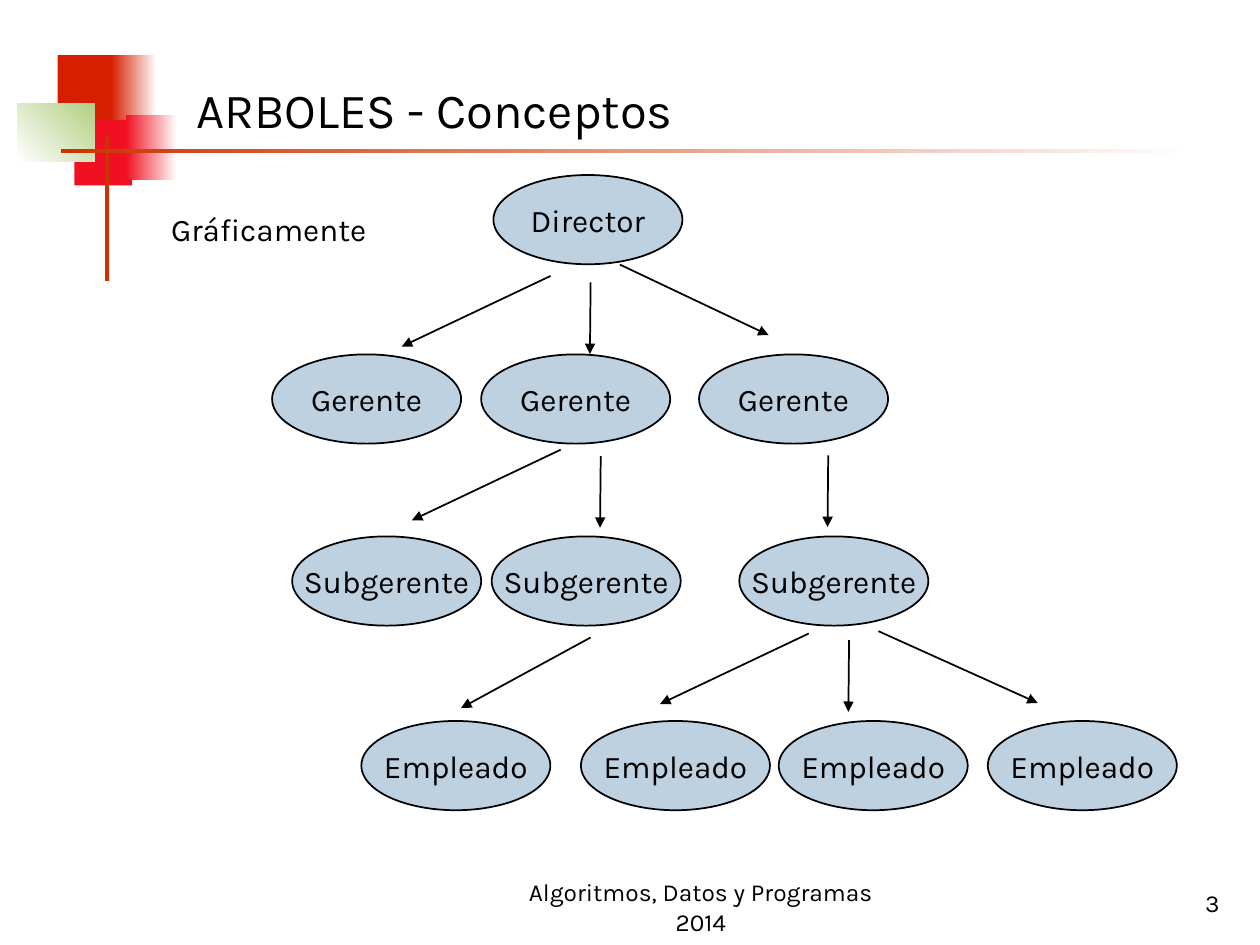
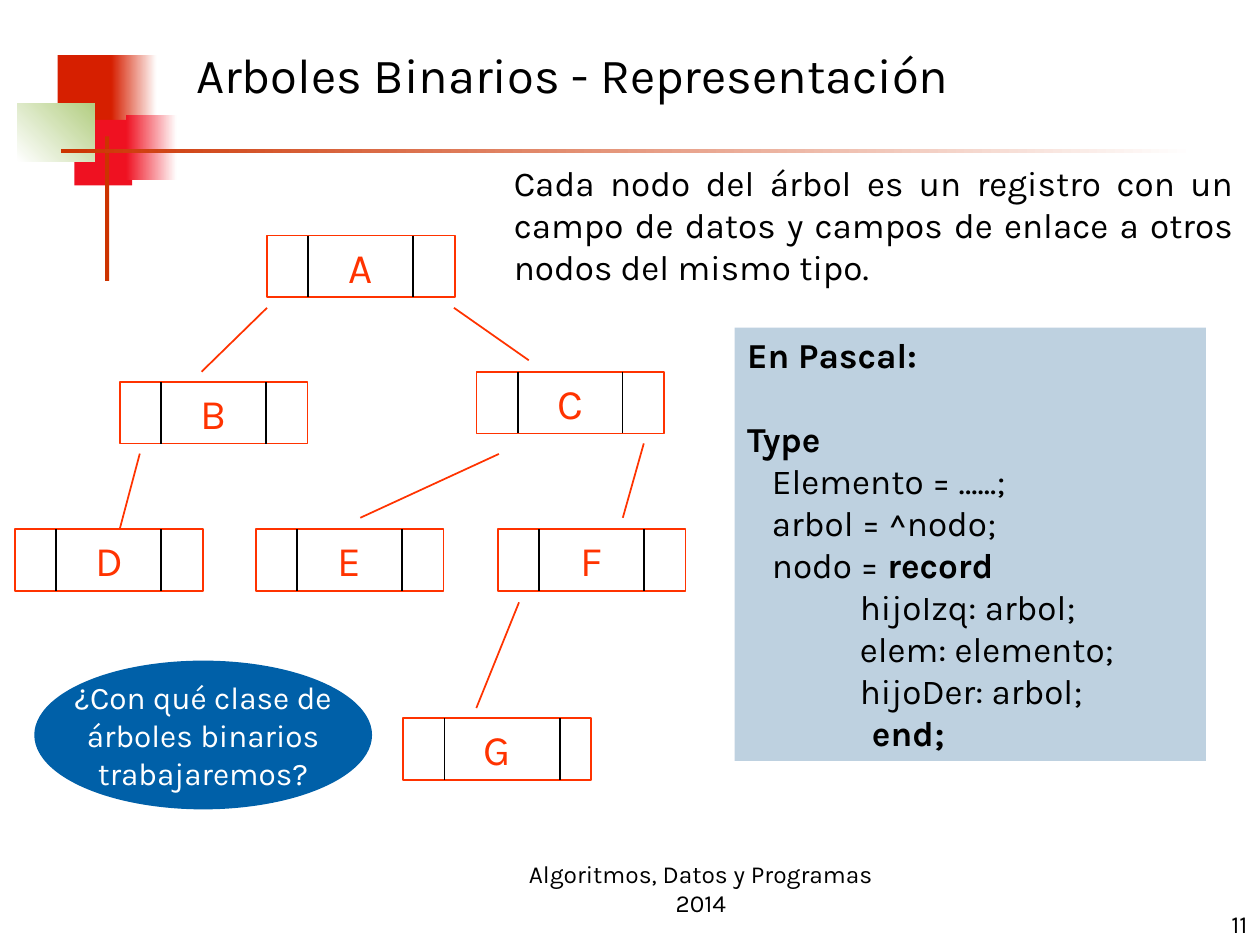
"""Build two slides about trees: an organisation chart and a binary tree."""
from dataclasses import dataclass

from lxml import etree
from pptx import Presentation
from pptx import util as u
from pptx.dml import color as colour
from pptx.enum import shapes, text
from pptx.oxml import ns

Pt = u.Pt


@dataclass(frozen=True)
class Theme:
    font: str = "Karla"
    ink: str = "000000"
    paper: str = "FFFFFF"
    rust: str = "CC3300"
    brick: str = "D61F00"
    red: str = "EF1121"
    green: str = "B3CE82"
    mist: str = "BED1E0"
    orange: str = "FF3300"
    blue: str = "0060A8"
    title: int = 28
    letter: int = 24
    body: int = 20
    label: int = 18
    footer: int = 14
    line: int = 1


THEME = Theme()
SHAPE = shapes.MSO_SHAPE
ALIGN = text.PP_ALIGN
ANCHOR = text.MSO_ANCHOR

FOOTER = "Algoritmos, Datos y Programas 2014"
DECOR = [
    ((33, 31.5, 34.5, 37.5), THEME.brick, None, 0),
    ((63.5, 31.5, 26, 37.5), THEME.brick, THEME.paper, 0),
    ((42.5, 68.5, 33, 37.5), THEME.red, None, 0),
    ((72, 65.5, 29, 37.5), THEME.red, THEME.paper, 0),
    ((10, 59, 44, 33.5), THEME.paper, THEME.green, 45),
    ((60, 78, 2.4, 82.5), THEME.rust, None, 0),
    ((34.8, 85.2, 648, 2.4), THEME.rust, THEME.paper, 0),
]

STAFF_SIZE = (108, 51)
STAFF = [
    ("Director", 100, [282]),
    ("Gerente", 202.5, [155.5, 275, 399.5]),
    ("Subgerente", 306.5, [167, 281, 422.5]),
    ("Empleado", 412, [206.5, 332, 445, 564.5]),
]
STEPS = {
    "left": (-85, 40.3),
    "near left": (-74, 40.3),
    "down": (-0.4, 41),
    "right": (85, 40.3),
    "far right": (91, 41),
}
ARROWS = [
    ("left", 314.6, 157.7), ("down", 337.5, 161.3), ("right", 354.2, 151.2),
    ("left", 320.4, 257), ("down", 343.3, 260.6), ("down", 473.3, 260.2),
    ("near left", 337.5, 364.3), ("left", 462.2, 362),
    ("down", 485.2, 365.8), ("far right", 502, 360.7),
]

NODE_SIZE = (107.3, 35.3)
DIVIDERS = (23.6, 83.6)
WIDE_DIVIDERS = (23.6, 89.5)
NODES = [
    ("A", 152.6, 134.6, DIVIDERS), ("B", 68.4, 218.2, DIVIDERS),
    ("C", 272.2, 212.4, DIVIDERS), ("D", 8.6, 302.4, DIVIDERS),
    ("E", 146.2, 302.4, DIVIDERS), ("F", 284.4, 302.4, DIVIDERS),
    ("G", 230.4, 410.4, WIDE_DIVIDERS),
]
LINKS = [
    (152.6, 175.9, 115.2, 212.4), (259.4, 175.9, 302.2, 205.9),
    (79.9, 259.2, 68.4, 302.4), (285.1, 259.4, 205.9, 295.9),
    (367.9, 253.4, 355.9, 295.9), (296.6, 344.2, 272.2, 404.6),
]
EXPLANATION = ("Cada nodo del árbol es un registro con un campo de datos "
               "y campos de enlace a otros nodos del mismo tipo.")
QUESTION = ["¿Con qué clase de", "árboles binarios", "trabajaremos?"]
PASCAL = [
    [("En Pascal:", True)],
    [("Type", True)],
    [("   Elemento = …...;", False)],
    [("   arbol = ^nodo;", False)],
    [("   nodo = ", False), ("record", True)],
    [("\t      hijoIzq: arbol;", False)],
    [("\t      elem: elemento;", False)],
    [("\t      hijoDer: arbol;", False)],
    [("               ", False), ("end;", True)],
]
PASCAL_GAP = 24


def rgb(value):
    return colour.RGBColor.from_string(value)


def assign(target, **values):
    for name, value in values.items():
        setattr(target, name, value)


def write(box, paras, size, ink=THEME.ink, align=ALIGN.LEFT,
          anchor=ANCHOR.TOP, wrap=True):
    frame = box.text_frame
    assign(frame, word_wrap=wrap, vertical_anchor=anchor)
    for index, spans in enumerate(paras):
        para = frame.add_paragraph() if index else frame.paragraphs[0]
        para.alignment = align
        for words, bold in spans:
            span = para.add_run()
            span.text = words
            assign(span.font, name=THEME.font, size=Pt(size), bold=bold)
            span.font.color.rgb = rgb(ink)
    return frame


def plain(*lines):
    return [[(line, False)] for line in lines]


def add_text(page, area, words, size, **style):
    box = page.shapes.add_textbox(*map(Pt, area))
    write(box, plain(words), size, **style)


def add_block(page, kind, area, fill, outline=None):
    block = page.shapes.add_shape(kind, *map(Pt, area))
    block.shadow.inherit = False
    block.fill.solid()
    block.fill.fore_color.rgb = rgb(fill)
    if outline:
        block.line.color.rgb = rgb(outline)
        block.line.width = Pt(THEME.line)
    else:
        block.line.fill.background()
    return block


def add_label(page, kind, area, fill, outline, lines, size, ink):
    block = add_block(page, kind, area, fill, outline)
    write(block, plain(*lines), size, ink, ALIGN.CENTER, ANCHOR.MIDDLE, False)


def add_line(page, ends, ink, arrow=False):
    line = page.shapes.add_connector(
        shapes.MSO_CONNECTOR.STRAIGHT, *map(Pt, ends))
    line.line.color.rgb = rgb(ink)
    line.line.width = Pt(THEME.line)
    if arrow:
        tip = etree.SubElement(line.line._get_or_add_ln(), ns.qn("a:tailEnd"))
        tip.set("type", "triangle")
    etree.SubElement(line._element.spPr, ns.qn("a:effectLst"))


def add_page(deck, title, title_area, footer_top, number, number_spot):
    page = deck.slides.add_slide(deck.slide_layouts[6])
    for area, start, end, angle in DECOR:
        block = add_block(page, SHAPE.RECTANGLE, area, start)
        if end:
            block.fill.gradient()
            block.fill.gradient_angle = angle
            for stop, tint in zip(block.fill.gradient_stops, (start, end)):
                stop.color.rgb = rgb(tint)
    add_text(page, title_area, title, THEME.title, anchor=ANCHOR.MIDDLE)
    add_text(page, (286.5, footer_top, 228, 36), FOOTER, THEME.footer,
             align=ALIGN.CENTER, anchor=ANCHOR.BOTTOM)
    add_text(page, (*number_spot, 150, 36), number, THEME.footer,
             align=ALIGN.RIGHT, anchor=ANCHOR.BOTTOM)
    return page


def draw_staff(deck):
    page = add_page(deck, "ARBOLES - Conceptos", (105, 26, 542, 72),
                    502.5, "3", (554, 492))
    add_text(page, (90.7, 116.6, 161, 39.6), "Gráficamente", THEME.label)
    for role, top, lefts in STAFF:
        for left in lefts:
            add_label(page, SHAPE.OVAL, (left, top, *STAFF_SIZE), THEME.mist,
                      THEME.ink, [role], THEME.label, THEME.ink)
    for step, x, y in ARROWS:
        dx, dy = STEPS[step]
        add_line(page, (x, y, x + dx, y + dy), THEME.ink, arrow=True)


def draw_binary_tree(deck):
    page = add_page(deck, "Arboles Binarios - Representación",
                    (105, 9.4, 499, 66), 491.8, "11", (570, 504))
    add_text(page, (286.5, 88.6, 425.5, 79), EXPLANATION, THEME.body,
             align=ALIGN.JUSTIFY)
    code = add_block(page, SHAPE.RECTANGLE, (419.8, 187.2, 269.3, 247.7),
                     THEME.mist)
    frame = write(code, PASCAL, THEME.body)
    frame.paragraphs[1].space_before = Pt(PASCAL_GAP)
    width, height = NODE_SIZE
    for letter, left, top, dividers in NODES:
        add_label(page, SHAPE.RECTANGLE, (left, top, width, height),
                  THEME.paper, THEME.orange, [letter], THEME.letter,
                  THEME.orange)
        for offset in dividers:
            x = left + offset
            add_line(page, (x, top, x, top + height), THEME.ink)
    for ends in LINKS:
        add_line(page, ends, THEME.orange)
    add_label(page, SHAPE.OVAL, (19.6, 377.5, 193, 85), THEME.blue, None,
              QUESTION, THEME.label, THEME.paper)


def main():
    deck = Presentation()
    assign(deck, slide_width=Pt(720), slide_height=Pt(540))
    draw_staff(deck)
    draw_binary_tree(deck)
    deck.save("out.pptx")


if __name__ == "__main__":
    main()
